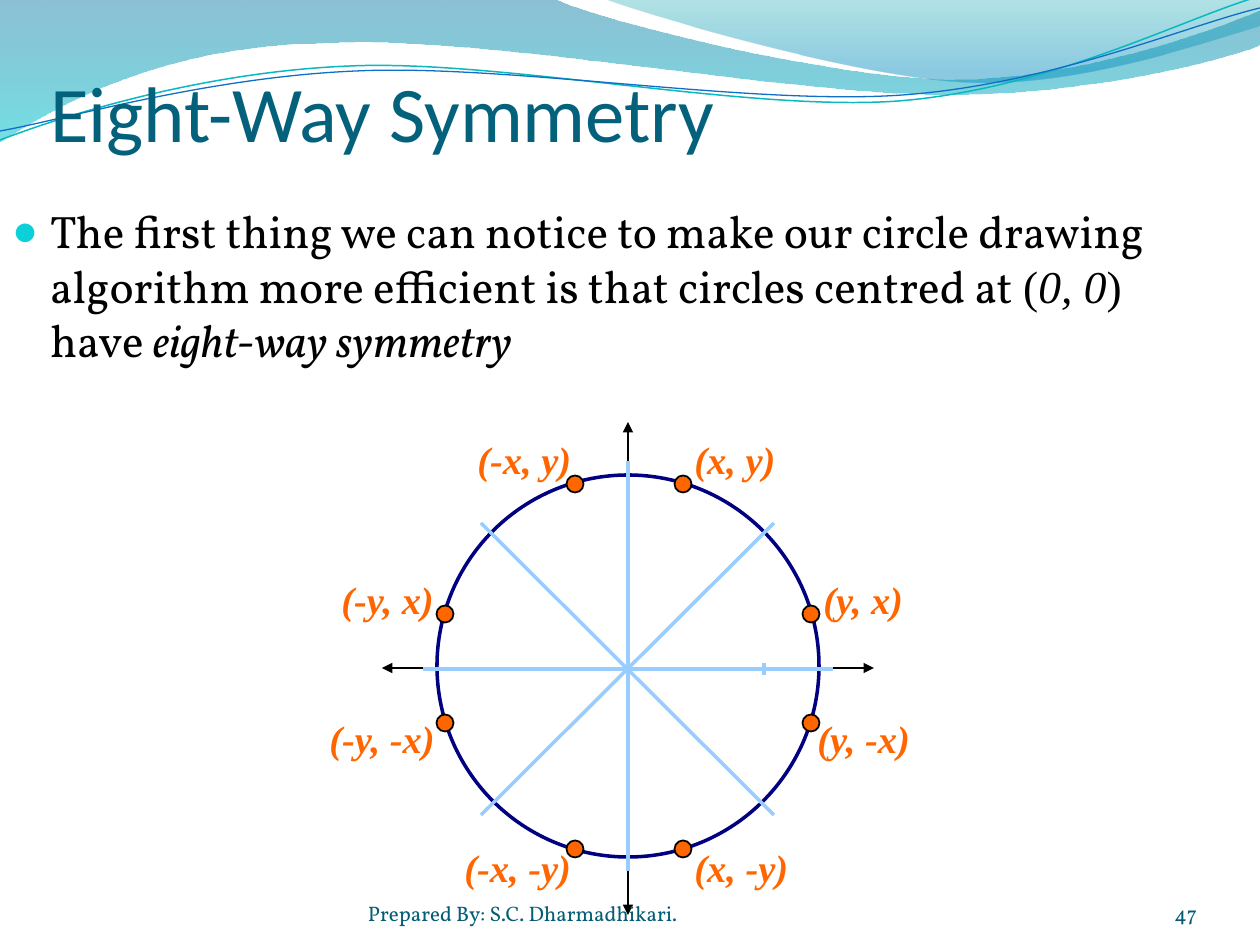
from lxml.etree import SubElement
from pptx import Presentation
from pptx.dml.color import RGBColor
from pptx.enum.shapes import MSO_CONNECTOR, MSO_SHAPE
from pptx.enum.text import MSO_ANCHOR, MSO_AUTO_SIZE, PP_ALIGN
from pptx.oxml.ns import qn
from pptx.util import Pt

SCALE = 914400 / 126
TITLE_FORMAT = {"size": Pt(45), "name": "Calibri"}
BODY_FORMAT = {"size": Pt(26), "name": "Vollkorn"}
FOOTER_FORMAT = {"size": Pt(12), "name": "Vollkorn"}
LABEL_FORMAT = {"size": Pt(22), "name": "Times New Roman", "bold": True, "italic": True}

FILLED_WAVES = [
    ([(0, 0), (554, -1),
      (600, 21, 837, 79, 955, 79), (1075, 79, 1207, 33, 1260, 11),
      (1261, 45),
      (1239, 55, 1096, 96, 940, 94), (783, 94, 481, 35, 324, 43),
      (163, 45, 58, 105, -1, 142)],
     [(0, "0074A1", 45), (100, "00C6CF", 55)]),
    ([(604, -1), (642, 14, 859, 78, 969, 82),
      (1079, 87, 1211, 40, 1260, 26), (1260, 0)],
     [(0, "00A1A9", 30), (80, "008BBF", 45)]),
]
WAVE_LINES = [
    ([(0, 140), (60, 117, 199, 72, 349, 66), (498, 59, 747, 112, 898, 101),
      (1050, 89, 1182, 19, 1257, -3)], "0AB8BF", 0.85),
    ([(0, 131), (59, 121, 207, 77, 357, 71), (508, 64, 752, 106, 903, 95),
      (1053, 84, 1185, 26, 1260, 8)], "0F6FC6", 0.75),
]
AXES = [(310, 493, 310, 0), (64, 246, 556, 246)]
SYMMETRY_LINES = [
    (163, 393, 456, 101),
    (446, 241, 446, 253),
    (456, 393, 163, 101),
    (310, 449, 310, 39),
    (105, 247, 515, 247),
]
POINTS = [
    ("(x, y)", 365, 62, 364, 8, 108),
    ("(y, x)", 493, 192, 493, 148, 108),
    ("(y, -x)", 493, 301, 487, 287, 121),
    ("(x, -y)", 365, 427, 364, 416, 121),
    ("(-x, -y)", 257, 427, 134, 416, 134),
    ("(-y, -x)", 127, 301, -1, 287, 134),
    ("(-y, x)", 127, 192, 11, 148, 121),
    ("(-x, y)", 257, 62, 147, 8, 121),
]


def px(*lengths):
    return [round(length * SCALE) for length in lengths]


def colour(value):
    return RGBColor.from_string(value)


def place(shape, box):
    shape.left, shape.top, shape.width, shape.height = px(*box)


def add_span(para, text, formats, font_colour):
    span = para.add_run()
    span.text = text
    for name, value in formats.items():
        setattr(span.font, name, value)
    span.font.color.rgb = colour(font_colour)


def set_frame(frame, insets=(), **settings):
    names = ("margin_left", "margin_top", "margin_right", "margin_bottom")
    for name, value in {**dict(zip(names, px(*insets))), **settings}.items():
        setattr(frame, name, value)


def bend_lines(wave, steps):
    segments = iter(list(wave._element.iter(qn("a:lnTo"))))
    for step in steps:
        segment = next(segments)
        if len(step) == 6:
            curve = segment.makeelement(qn("a:cubicBezTo"))
            segment.addprevious(curve)
            for line in (segment, next(segments), next(segments)):
                curve.append(line[0])
                line.getparent().remove(line)


def add_wave(page, box, steps, close):
    points = [px(box[0] + x, box[1] + y)
              for step in steps for x, y in zip(step[::2], step[1::2])]
    builder = page.shapes.build_freeform(*points[0])
    builder.add_line_segments(points[1:], close=close)
    wave = builder.convert_to_shape()
    bend_lines(wave, steps[1:])
    wave.shadow.inherit = False
    return wave


def fill_gradient(shape, stops):
    shape.fill.gradient()
    gradient = shape.fill._xPr.find(qn("a:gradFill"))
    for child in list(gradient):
        gradient.remove(child)
    stop_list = SubElement(gradient, qn("a:gsLst"))
    for position, value, alpha in stops:
        stop = SubElement(stop_list, qn("a:gs"), pos=str(position * 1000))
        tint = SubElement(stop, qn("a:srgbClr"), val=value)
        SubElement(tint, qn("a:alpha"), val=str(alpha * 1000))
    SubElement(gradient, qn("a:lin"), ang="5400000", scaled="0")


def add_waves(page, box):
    for steps, stops in FILLED_WAVES:
        wave = add_wave(page, box, steps, True)
        fill_gradient(wave, stops)
        wave.line.fill.background()
    for steps, line_colour, width in WAVE_LINES:
        wave = add_wave(page, box, steps, False)
        wave.fill.background()
        wave.line.color.rgb = colour(line_colour)
        wave.line.width = Pt(width)


def fill_title(page, box):
    title = page.shapes.title
    page.shapes._spTree.append(title.element)
    place(title, box)
    set_frame(title.text_frame, (0, 6, 0, 0), word_wrap=True,
              vertical_anchor=MSO_ANCHOR.BOTTOM, auto_size=MSO_AUTO_SIZE.NONE)
    para = title.text_frame.paragraphs[0]
    para.alignment = PP_ALIGN.LEFT
    add_span(para, "Eight-Way Symmetry", TITLE_FORMAT, "04617B")


def add_bullet(para):
    properties = para._p.get_or_add_pPr()
    indent = px(38)[0]
    properties.set("marL", str(indent))
    properties.set("indent", str(-indent))
    tint = SubElement(properties, qn("a:buClr"))
    SubElement(tint, qn("a:srgbClr"), val="0BD0D9")
    SubElement(properties, qn("a:buSzPct"), val="95000")
    SubElement(properties, qn("a:buChar"), char="●")


def fill_body(page, box):
    body = page.placeholders[1]
    page.shapes._spTree.append(body.element)
    place(body, box)
    set_frame(body.text_frame, (12, 6, 12, 6), word_wrap=True,
              vertical_anchor=MSO_ANCHOR.TOP, auto_size=MSO_AUTO_SIZE.NONE)
    para = body.text_frame.paragraphs[0]
    add_bullet(para)
    para.space_before = Pt(0)
    math = {"name": "Times New Roman"}
    italic = {"italic": True}
    for text, changes in [
        ("The first thing we can notice to make our circle drawing "
         "algorithm more efficient is that circles centred at ", {}),
        ("(", math),
        ("0, 0", math | italic),
        (")", math),
        (" have ", {}),
        ("eight-way symmetry", italic),
    ]:
        add_span(para, text, BODY_FORMAT | changes, "000000")


def add_line(page, box, ends, line_colour, width, arrows=False):
    left, top = box[:2]
    x1, y1, x2, y2 = ends
    line = page.shapes.add_connector(
        MSO_CONNECTOR.STRAIGHT, *px(left + x1, top + y1, left + x2, top + y2))
    line.line.color.rgb = colour(line_colour)
    line.line.width = Pt(width)
    if arrows:
        for end in ("a:headEnd", "a:tailEnd"):
            SubElement(line.line._get_or_add_ln(), qn(end), type="triangle")
    SubElement(line._element.spPr, qn("a:effectLst"))


def add_circle(page, box, centre_x, centre_y, size, line_colour, width, fill=None):
    left, top = box[0] + centre_x - size / 2, box[1] + centre_y - size / 2
    circle = page.shapes.add_shape(MSO_SHAPE.OVAL, *px(left, top, size, size))
    circle.shadow.inherit = False
    circle.line.color.rgb = colour(line_colour)
    circle.line.width = Pt(width)
    if fill:
        circle.fill.solid()
        circle.fill.fore_color.rgb = colour(fill)
    else:
        circle.fill.background()


def add_diagram(page, box):
    for ends in AXES:
        add_line(page, box, ends, "000000", 1, arrows=True)
    add_circle(page, box, 310, 244, 382, "000080", 2)
    for text, dot_x, dot_y, label_x, label_y, label_width in POINTS:
        add_circle(page, box, dot_x, dot_y, 17, "000000", 1, "FF6600")
        label = page.shapes.add_textbox(
            *px(box[0] + label_x, box[1] + label_y, label_width, 59))
        set_frame(label.text_frame, word_wrap=False,
                  auto_size=MSO_AUTO_SIZE.SHAPE_TO_FIT_TEXT)
        add_span(label.text_frame.paragraphs[0], text, LABEL_FORMAT, "FF6600")
    for ends in SYMMETRY_LINES:
        add_line(page, box, ends, "99CCFF", 2)


def add_footer(page, box, text, alignment):
    footer = page.shapes.add_textbox(*px(*box))
    set_frame(footer.text_frame, (0, 0, 0, 0), word_wrap=True,
              vertical_anchor=MSO_ANCHOR.BOTTOM)
    para = footer.text_frame.paragraphs[0]
    para.alignment = alignment
    add_span(para, text, FOOTER_FORMAT, "045D75")


def main():
    deck = Presentation()
    deck.slide_width, deck.slide_height = px(1260, 945)
    page = deck.slides.add_slide(deck.slide_layouts[1])
    add_waves(page, (0, 0, 1260, 143))
    fill_title(page, (50, 75, 1137, 83))
    fill_body(page, (0, 197, 1197, 721))
    add_diagram(page, (318, 422, 607, 493))
    add_footer(page, (1092, 876, 105, 50), "47", PP_ALIGN.RIGHT)
    add_footer(page, (368, 876, 462, 50), "Prepared By: S.C. Dharmadhikari.", PP_ALIGN.LEFT)
    deck.save("out.pptx")


if __name__ == "__main__":
    main()
